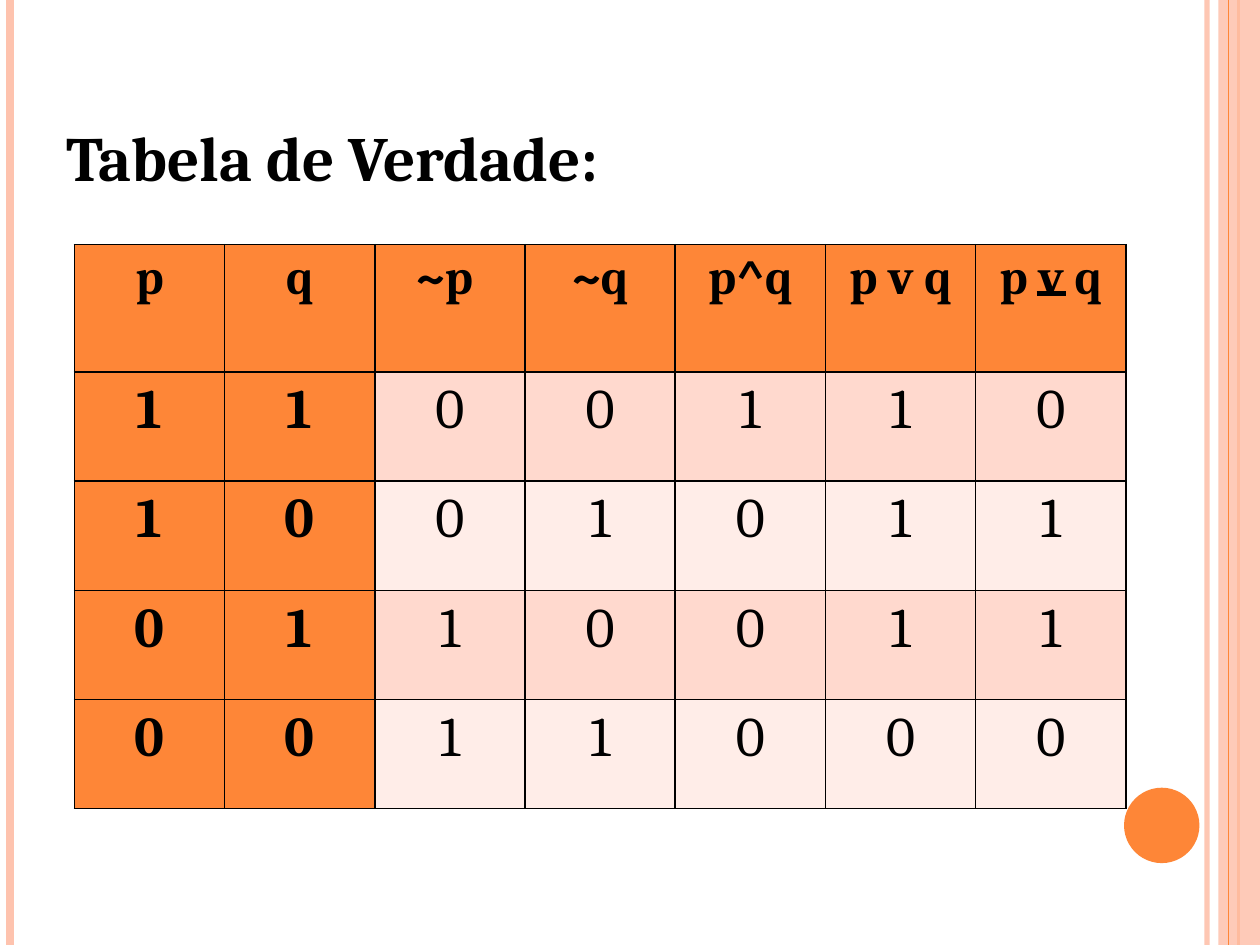
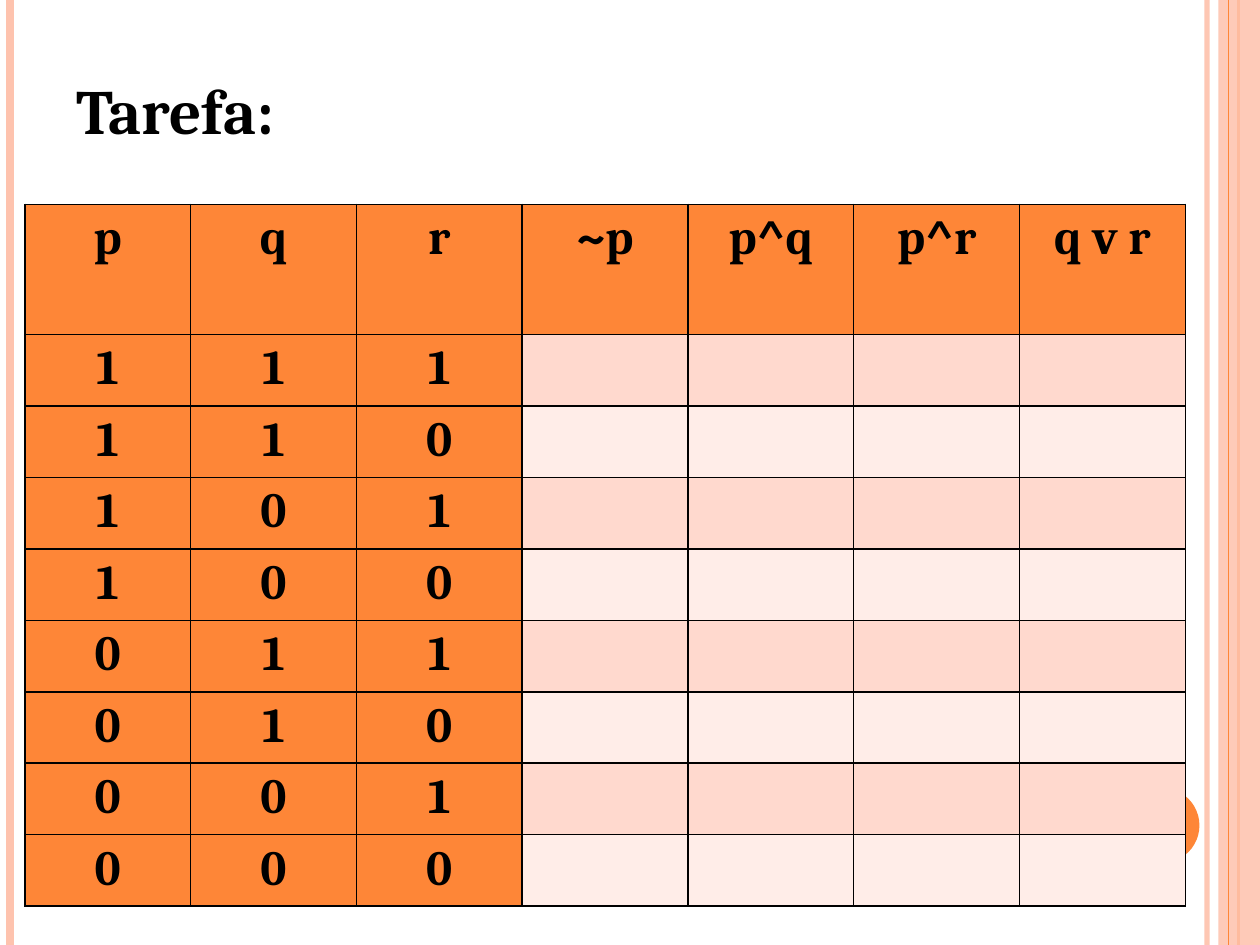
from itertools import product
from lxml.etree import SubElement
from pptx import Presentation
from pptx.dml.color import RGBColor
from pptx.enum.shapes import MSO_CONNECTOR, MSO_SHAPE
from pptx.enum.text import MSO_AUTO_SIZE, PP_ALIGN
from pptx.oxml.ns import qn
from pptx.util import Cm, Pt

WIDE, HIGH = 25.4, 19.05


class Deck:
    """Hold the style and the current slide, and draw each kind of element."""

    font = "Cambria"
    hues = {"ink": "000000", "main": "FE8637", "soft": "FEC3AE",
            "odd": "FFD9CE", "even": "FFEDE8"}

    def __init__(self):
        self.show = Presentation()
        self.show.slide_width, self.show.slide_height = Cm(WIDE), Cm(HIGH)
        self.slide = None

    def hue(self, name):
        return RGBColor.from_string(self.hues[name])

    def fade(self, props, part):
        color = next(props.iter(qn("a:srgbClr")))
        SubElement(color, qn("a:alpha"), val=str(part * 1000))

    def line(self, left, top, right, low, hue, size, part=100):
        link = self.slide.shapes.add_connector(
            MSO_CONNECTOR.STRAIGHT, Cm(left), Cm(top), Cm(right), Cm(low))
        link.line.color.rgb = self.hue(hue)
        link.line.width = Pt(size)
        props = link._element.spPr
        if part < 100:
            self.fade(props, part)
        SubElement(props, qn("a:effectLst"))

    def shape(self, kind, left, top, width, height, hue, part=100):
        item = self.slide.shapes.add_shape(
            kind, Cm(left), Cm(top), Cm(width), Cm(height))
        item.shadow.inherit = False
        item.fill.solid()
        item.fill.fore_color.rgb = self.hue(hue)
        item.line.fill.background()
        if part < 100:
            self.fade(item._element.spPr, part)

    def page(self):
        self.slide = self.show.slides.add_slide(self.show.slide_layouts[6])
        self.line(24.33, 0, 24.33, HIGH, "soft", 3, 93)
        self.line(0.2, 0, 0.2, HIGH, "soft", 4.5)
        self.line(24.97, 0, 24.97, HIGH, "main", 1.5)
        self.shape(MSO_SHAPE.RECTANGLE, 24.56, 0, 0.84, HIGH, "soft", 87)
        self.line(24.77, 0, 24.77, HIGH, "main", 0.75)
        self.shape(MSO_SHAPE.OVAL, 22.66, 15.88, 1.52, 1.52, "main")

    def label(self, frame, text, size, bold, align):
        para = frame.paragraphs[0]
        para.alignment = align
        run = para.add_run()
        run.text = text
        run.font.name = self.font
        run.font.size = Pt(size)
        run.font.bold = bold
        run.font.color.rgb = self.hue("ink")

    def title(self, text, left, top):
        box = self.slide.shapes.add_textbox(
            Cm(left), Cm(top), Cm(13.6), Cm(1.8))
        frame = box.text_frame
        frame.word_wrap = True
        frame.auto_size = MSO_AUTO_SIZE.SHAPE_TO_FIT_TEXT
        self.label(frame, text, 36, True, PP_ALIGN.JUSTIFY)

    def edge(self, cell):
        props = cell._tc.get_or_add_tcPr()
        for side in ("lnL", "lnR", "lnT", "lnB"):
            rule = SubElement(props, qn("a:" + side), w=str(Pt(1)))
            fill = SubElement(rule, qn("a:solidFill"))
            SubElement(fill, qn("a:srgbClr"), val=self.hues["ink"])

    def table(self, rows, keys, left, top, width, head, step, size):
        count = len(rows[0])
        high = head + step * (len(rows) - 1)
        grid = self.slide.shapes.add_table(
            len(rows), count, Cm(left), Cm(top), Cm(width), Cm(high)).table
        grid.horz_banding = False
        for col in grid.columns:
            col.width = Cm(width / count)
        for i, row in enumerate(rows):
            grid.rows[i].height = Cm(step if i else head)
            for j in range(count):
                cell = grid.cell(i, j)
                key = i == 0 or j < keys
                self.edge(cell)
                cell.fill.solid()
                cell.fill.fore_color.rgb = self.hue(
                    "main" if key else "odd" if i % 2 else "even")
                if j < len(row):
                    self.label(cell.text_frame, str(row[j]),
                               size if i else 28, key, PP_ALIGN.CENTER)


def main():
    deck = Deck()

    deck.page()
    head = ["p", "q", "~p ", "~q", "p^q", "p v q", "p v q"]
    truth = [(p, q, 1 - p, 1 - q, p & q, p | q, p ^ q)
             for p, q in product((1, 0), repeat=2)]
    deck.table([head, *truth], 2, 1.5, 4.93, 21.2, 2.57, 2.2, 32)
    deck.title("Tabela de Verdade:", 1.09, 2.26)
    deck.line(20.9, 5.92, 21.49, 5.92, "ink", 3)

    deck.page()
    deck.title("Tarefa:", 1.3, 1.32)
    head = ["p", "q", "r", "~p", "p^q", "p^r", "q v r"]
    cases = product((1, 0), repeat=3)
    deck.table([head, *cases], 3, 0.5, 4.12, 23.4, 2.62, 1.44, 28)

    deck.show.save("out.pptx")


if __name__ == "__main__":
    main()
